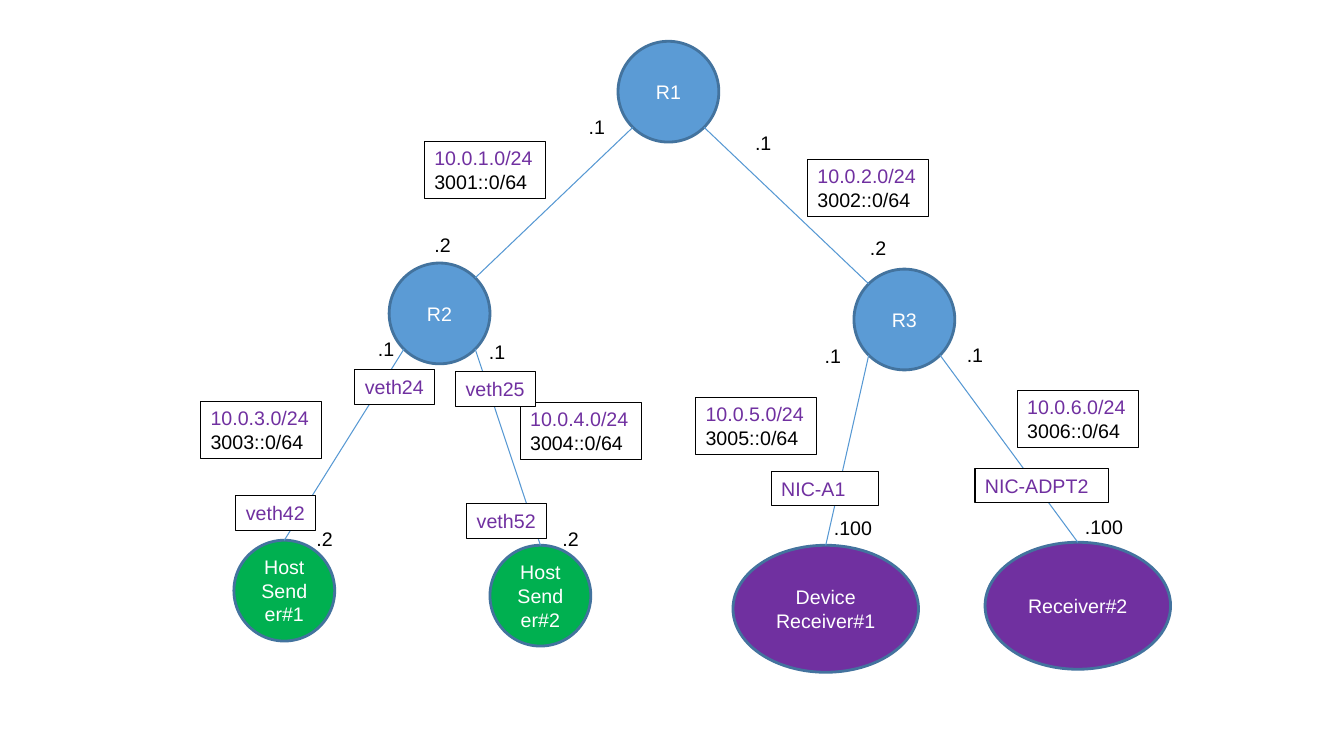
"""Build a slide of a router tree with its subnets, interfaces and hosts."""
from math import cos, pi, sin

from lxml import etree
from pptx import Presentation
from pptx.dml.color import RGBColor
from pptx.enum.shapes import MSO_CONNECTOR, MSO_SHAPE
from pptx.enum.text import MSO_ANCHOR, PP_ALIGN
from pptx.oxml.ns import qn
from pptx.util import Inches, Pt

OVAL, RECTANGLE = MSO_SHAPE.OVAL, MSO_SHAPE.RECTANGLE
STRAIGHT = MSO_CONNECTOR.STRAIGHT
TOP, MIDDLE = MSO_ANCHOR.TOP, MSO_ANCHOR.MIDDLE
LEFT, CENTER = PP_ALIGN.LEFT, PP_ALIGN.CENTER

BLUE, GREEN, PURPLE = "5B9BD5", "00B050", "7030A0"
RIM, LINK, BLACK, WHITE = "43739E", "5698D3", "000000", "FFFFFF"
CIRCLE, ELLIPSE = (1, 1), (1.84, 1.26)
SUBNET_SIZE, INTERFACE_HEIGHT = (1.2, 0.57), 0.34
SHORT_LABEL, LONG_LABEL = (0.4, 0.31), (0.84, 0.26)

NODES = {
    "r1": ("R1", 6.13, 0.41, CIRCLE, BLUE),
    "r2": ("R2", 3.86, 2.61, CIRCLE, BLUE),
    "r3": ("R3", 8.47, 2.67, CIRCLE, BLUE),
    "sender1": ("Host\nSender#1", 2.32, 5.36, CIRCLE, GREEN),
    "sender2": ("Host\nSender#2", 4.86, 5.41, CIRCLE, GREEN),
    "receiver1": ("Device\nReceiver#1", 7.27, 5.41, ELLIPSE, PURPLE),
    "receiver2": ("Receiver#2", 9.77, 5.38, ELLIPSE, PURPLE),
}
ANGLES = {"top": -90, "top left": -135, "top right": -45,
          "bottom left": 135, "bottom right": 45}
LINKS = [
    ("r1", "bottom left", "r2", "top right"),
    ("r1", "bottom right", "r3", "top left"),
    ("r2", "bottom left", "sender1", "top"),
    ("r2", "bottom right", "sender2", "top"),
    ("r3", "bottom left", "receiver1", "top"),
    ("r3", "bottom right", "receiver2", "top"),
]
ADDRESSES = [
    (".1", 5.72, 1.1), (".1", 7.37, 1.26), (".2", 4.19, 2.27),
    (".2", 8.51, 2.3), (".1", 3.63, 3.3), (".1", 4.73, 3.33),
    (".1", 8.06, 3.37), (".1", 9.47, 3.36), (".2", 3.02, 5.19),
    (".2", 5.46, 5.19), (".100", 8.04, 5.11), (".100", 10.53, 5.09),
]
SUBNETS = [(4.21, 1.4), (8.01, 1.58), (1.99, 3.98),
           (5.16, 3.99), (6.9, 3.94), (10.09, 3.87)]
INTERFACES = [
    ("NIC-ADPT2", 9.67, 4.65, 1.32), ("NIC-A1", 7.65, 4.68, 1.06),
    ("veth42", 2.34, 4.92, 0.79), ("veth52", 4.63, 5, 0.79),
    ("veth25", 4.52, 3.69, 0.79), ("veth24", 3.52, 3.67, 0.79),
]


def color(value):
    return RGBColor.from_string(value)


def write(shape, text, colors, align, anchor):
    """Fill a shape with text, one colour for each paragraph."""
    frame = shape.text_frame
    frame.text = text
    frame.word_wrap = True
    frame.vertical_anchor = anchor
    for index, paragraph in enumerate(frame.paragraphs):
        paragraph.alignment = align
        for run in paragraph.runs:
            run.font.name, run.font.size = "Arial", Pt(14)
            run.font.color.rgb = color(colors[min(index, len(colors) - 1)])


def add_outlined(slide, kind, box, fill, line, width):
    """Add a filled preset shape with an outline."""
    shape = slide.shapes.add_shape(kind, *map(Inches, box))
    shape.shadow.inherit = False
    shape.fill.solid()
    shape.fill.fore_color.rgb = color(fill)
    shape.line.color.rgb = color(line)
    shape.line.width = Pt(width)
    return shape


def add_tag(slide, text, box):
    """Add a white tag whose first line is purple and second black."""
    tag = add_outlined(slide, RECTANGLE, box, WHITE, BLACK, 0.75)
    write(tag, text, (PURPLE, BLACK), LEFT, TOP)
    tag.text_frame.margin_right = 0


def rim_point(node, side):
    """Return the point on a node's rim at the named side."""
    _, left, top, (width, height), _ = NODES[node]
    angle = ANGLES[side] * pi / 180
    return (Inches(left + width / 2 * (1 + cos(angle))),
            Inches(top + height / 2 * (1 + sin(angle))))


def add_link(slide, start, start_side, end, end_side):
    """Add a thin line between the rims of two nodes."""
    link = slide.shapes.add_connector(
        STRAIGHT, *rim_point(start, start_side), *rim_point(end, end_side))
    link.line.color.rgb = color(LINK)
    link.line.width = Pt(0.75)
    etree.SubElement(link._element.spPr, qn("a:effectLst"))


presentation = Presentation()
presentation.slide_width, presentation.slide_height = Inches(13.33), Inches(7.5)
slide = presentation.slides.add_slide(presentation.slide_layouts[6])

for text, left, top, size, fill in NODES.values():
    node = add_outlined(slide, OVAL, (left, top, *size), fill, RIM, 2)
    write(node, text, (WHITE,), CENTER, MIDDLE)

for link in LINKS:
    add_link(slide, *link)

for text, left, top in ADDRESSES:
    size = SHORT_LABEL if len(text) == 2 else LONG_LABEL
    label = slide.shapes.add_textbox(*map(Inches, (left, top, *size)))
    write(label, text, (BLACK,), CENTER, MIDDLE)

for number, position in enumerate(SUBNETS, 1):
    add_tag(slide, f"10.0.{number}.0/24\n300{number}::0/64",
            (*position, *SUBNET_SIZE))

for text, left, top, width in INTERFACES:
    add_tag(slide, text, (left, top, width, INTERFACE_HEIGHT))

presentation.save("out.pptx")
